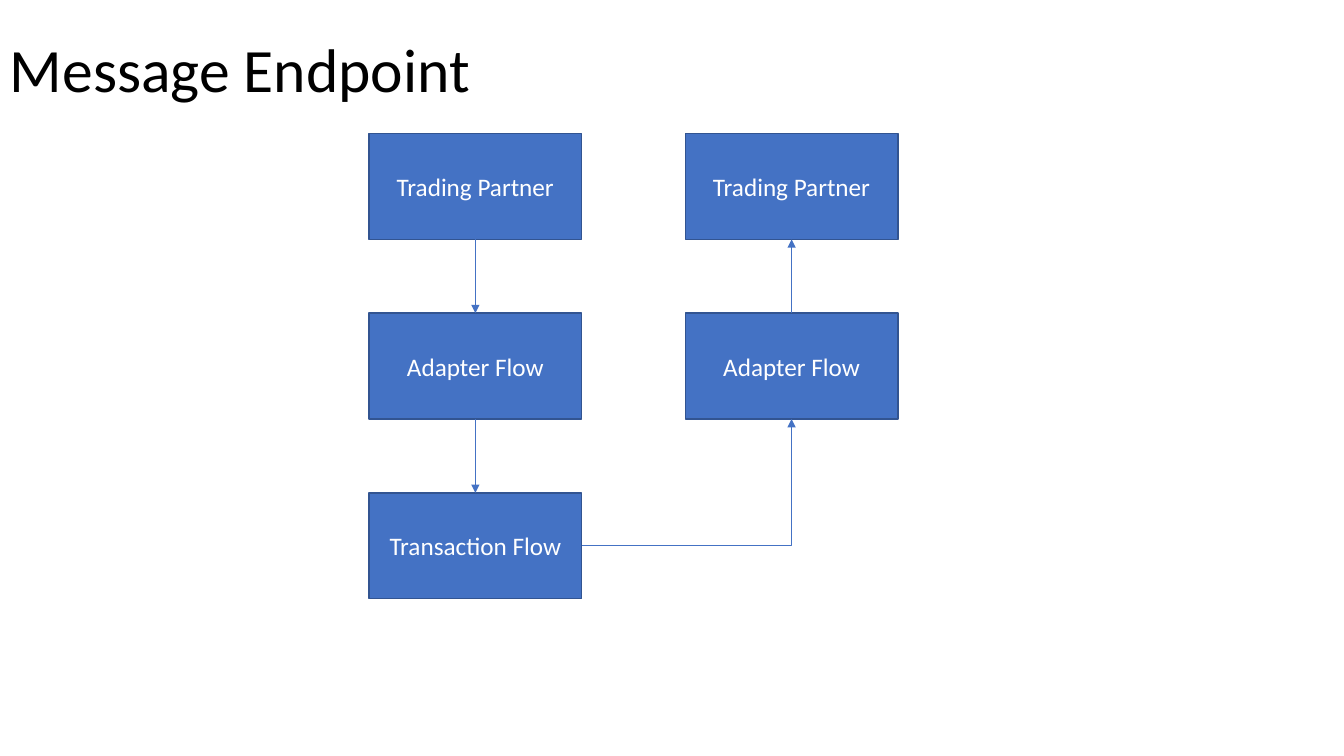
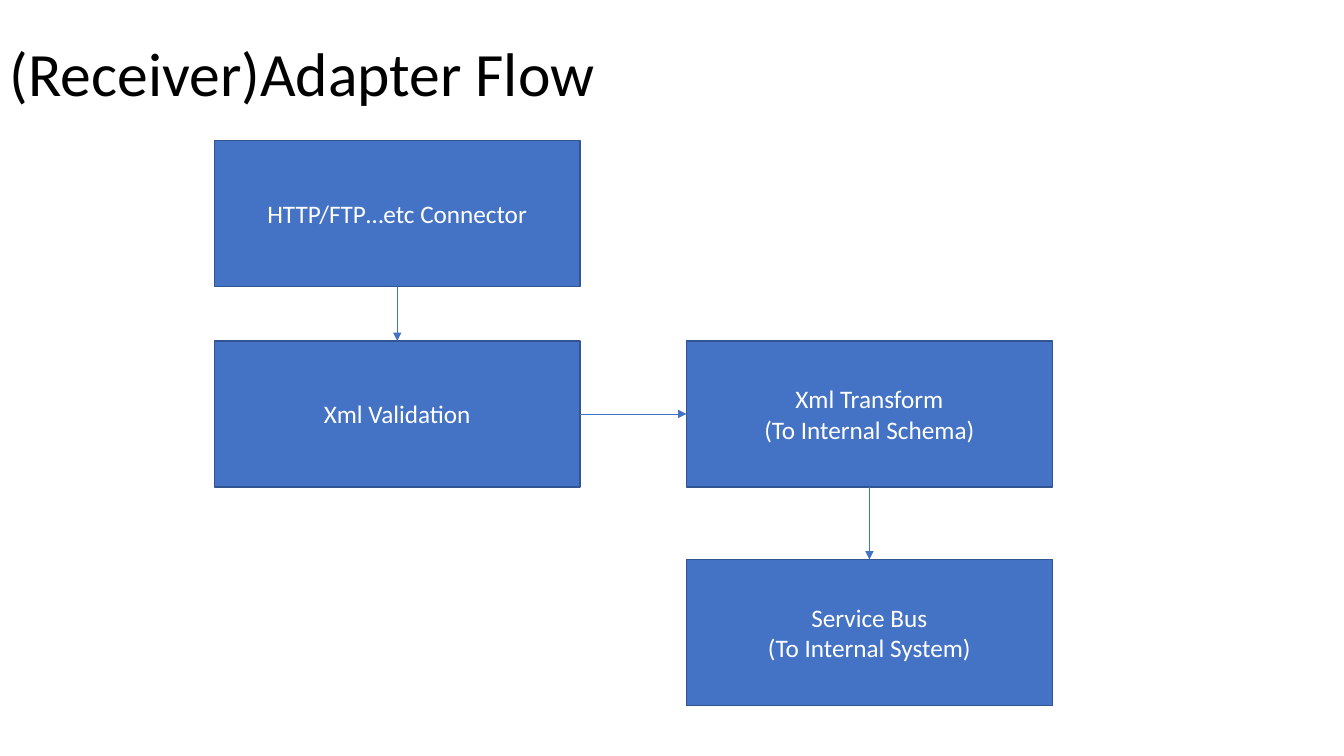
import pptx
import pptx.util
import pptx.dml.color
import pptx.enum.shapes
import pptx.enum.text
import pptx.oxml.ns
import lxml.etree

Cm = pptx.util.Cm
Pt = pptx.util.Pt
STRAIGHT = pptx.enum.shapes.MSO_CONNECTOR.STRAIGHT
ELBOW = pptx.enum.shapes.MSO_CONNECTOR.ELBOW
CENTER = pptx.enum.text.PP_ALIGN.CENTER
LEFT = pptx.enum.text.PP_ALIGN.LEFT
qn = pptx.oxml.ns.qn

# Shared style
FONT = "Calibri"
BLUE, DARK_BLUE, WHITE, BLACK = "4472C4", "325491", "FFFFFF", "000000"

# Connection sites of a rectangle
TOP, LEFT_SIDE, BOTTOM, RIGHT_SIDE = range(4)


def color(value):
    return pptx.dml.color.RGBColor.from_string(value)


def write(shape, text, size, ink, align, line_spacing):
    frame = shape.text_frame
    frame.word_wrap = True
    frame.vertical_anchor = pptx.enum.text.MSO_ANCHOR.MIDDLE
    frame.text = text
    for para in frame.paragraphs:
        para.alignment = align
        para.line_spacing = line_spacing
        for span in para.runs:
            span.font.name = FONT
            span.font.size = Pt(size)
            span.font.color.rgb = color(ink)


# Each diagram: boxes sit on (column, row), arrows run between box sides
diagrams = [
    {
        "title": "Message Endpoint",
        "title_top": 0,
        "columns": [9.3, 17.27],
        "rows": [3.36, 7.89, 12.42],
        "size": (5.36, 2.67),
        "boxes": {
            (0, 0): "Trading Partner",
            (1, 0): "Trading Partner",
            (0, 1): "Adapter Flow",
            (1, 1): "Adapter Flow",
            (0, 2): "Transaction Flow",
        },
        "arrows": [
            ((0, 0), BOTTOM, (0, 1), TOP, STRAIGHT),
            ((0, 1), BOTTOM, (0, 2), TOP, STRAIGHT),
            ((1, 1), TOP, (1, 0), BOTTOM, STRAIGHT),
            ((0, 2), RIGHT_SIDE, (1, 1), BOTTOM, ELBOW),
        ],
    },
    {
        "title": "(Receiver)Adapter Flow",
        "title_top": 0.08,
        "columns": [5.4, 17.3],
        "rows": [3.54, 8.59, 14.1],
        "size": (9.22, 3.68),
        "boxes": {
            (0, 0): "HTTP/FTP…etc Connector",
            (0, 1): "Xml Validation",
            (1, 1): "Xml Transform\n(To Internal Schema)",
            (1, 2): "Service Bus\n(To Internal System)",
        },
        "arrows": [
            ((0, 0), BOTTOM, (0, 1), TOP, STRAIGHT),
            ((0, 1), RIGHT_SIDE, (1, 1), LEFT_SIDE, STRAIGHT),
            ((1, 1), BOTTOM, (1, 2), TOP, STRAIGHT),
        ],
    },
]

deck = pptx.Presentation()
deck.slide_width, deck.slide_height = Cm(33.87), Cm(19.05)

for diagram in diagrams:
    page = deck.slides.add_slide(deck.slide_layouts[6])

    # Title
    title = page.shapes.add_textbox(Cm(0), Cm(diagram["title_top"]), Cm(29.21), Cm(3.68))
    write(title, diagram["title"], 44, BLACK, LEFT, 0.9)

    # Boxes
    width, height = diagram["size"]
    boxes = {}
    for (column, row), label in diagram["boxes"].items():
        box = page.shapes.add_shape(
            pptx.enum.shapes.MSO_SHAPE.RECTANGLE,
            Cm(diagram["columns"][column]), Cm(diagram["rows"][row]), Cm(width), Cm(height))
        box.shadow.inherit = False
        box.fill.solid()
        box.fill.fore_color.rgb = color(BLUE)
        box.line.color.rgb = color(DARK_BLUE)
        box.line.width = Pt(1)
        write(box, label, 18, WHITE, CENTER, 1.0)
        boxes[column, row] = box

    # Arrows
    for start, start_side, end, end_side, kind in diagram["arrows"]:
        arrow = page.shapes.add_connector(kind, 0, 0, 0, 0)
        arrow.begin_connect(boxes[start], start_side)
        arrow.end_connect(boxes[end], end_side)
        arrow.line.color.rgb = color(BLUE)
        arrow.line.width = Pt(0.5)
        properties = arrow.element.spPr
        if kind == ELBOW:
            properties.find(qn("a:prstGeom")).set("prst", "bentConnector2")
        lxml.etree.SubElement(properties.find(qn("a:ln")), qn("a:tailEnd"), type="triangle")
        lxml.etree.SubElement(properties, qn("a:effectLst"))

deck.save("out.pptx")
